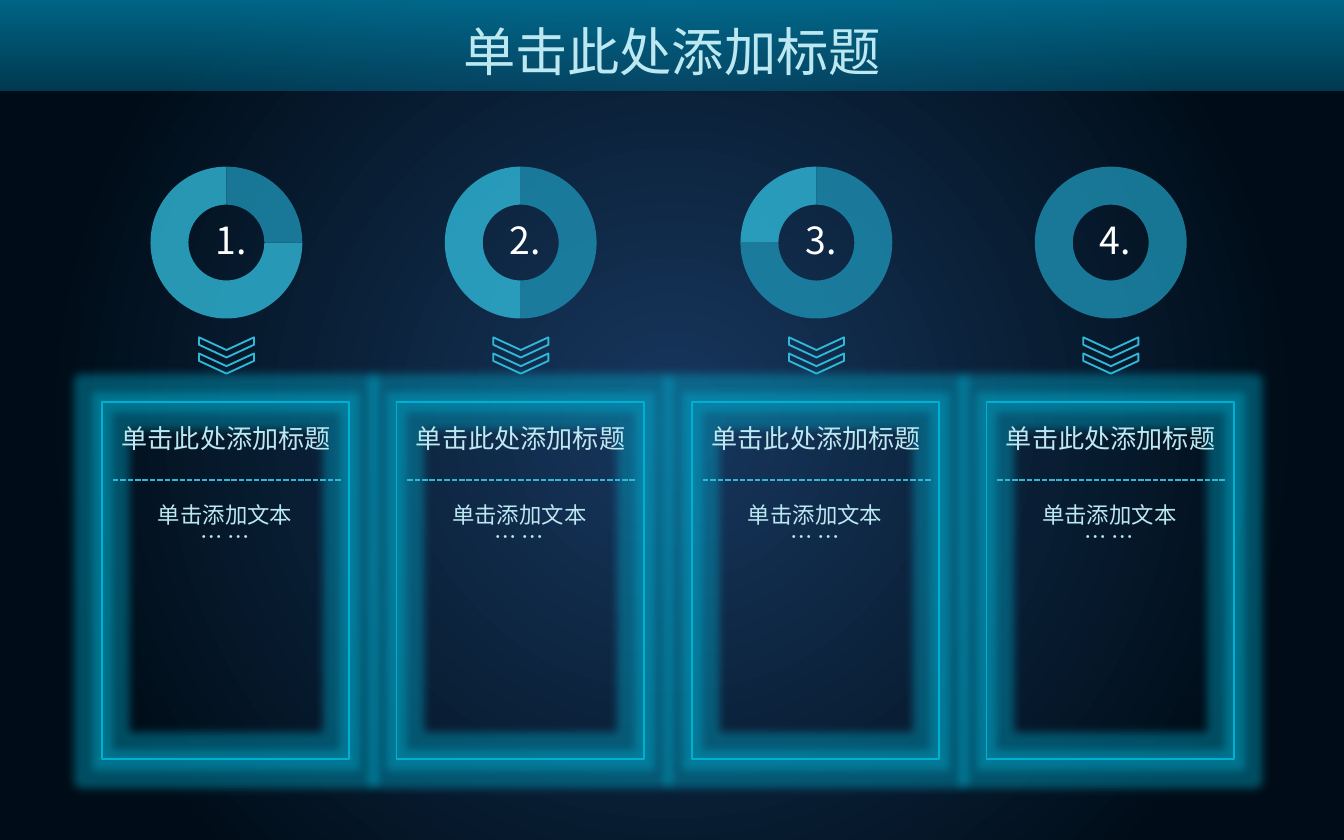
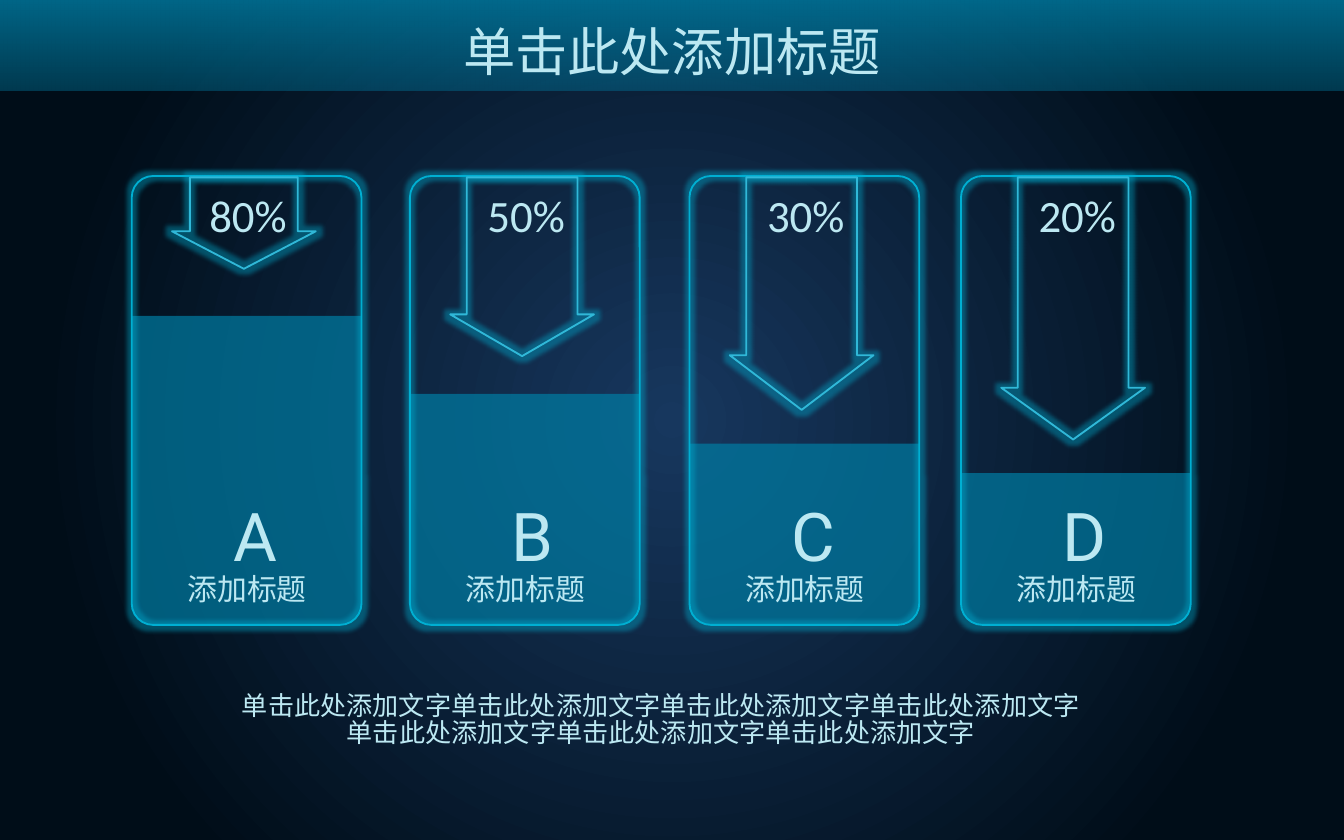
"""Build two dark, glowing slides: four numbered cards and four filled level gauges."""
import dataclasses

import lxml.etree
import pptx
import pptx.dml.color
import pptx.dml.fill
import pptx.enum.dml
import pptx.enum.shapes
import pptx.enum.text
import pptx.oxml.ns
import pptx.presentation
import pptx.shapes.autoshape
import pptx.slide
import pptx.text.text
import pptx.util

EMU_PER_PX = 9144
SLIDE_WIDTH, SLIDE_HEIGHT = 1000, 625
CJK, LATIN, LETTER = "Noto Sans CJK SC", "Calibri", "Roboto"
PALE, CYAN, TEAL, OCEAN, EDGE = "BCE8F2", "30B8D8", "1E8FB2", "007DA4", "00AFD2"
HEADING = "单击此处添加标题"
SHAPES = pptx.enum.shapes.MSO_SHAPE
Shape = pptx.shapes.autoshape.Shape
Slide = pptx.slide.Slide


@dataclasses.dataclass(frozen=True)
class Step:
    number: str
    share: float


@dataclasses.dataclass(frozen=True)
class Gauge:
    letter: str
    percent: str
    left: int
    fill_top: int
    arrow_height: int
    shaft: float
    head: float


@dataclasses.dataclass(frozen=True)
class Stop:
    position: int
    color: str
    alpha: int = 100


STEPS = [Step("1.", 0.25), Step("2.", 0.5), Step("3.", 0.75), Step("4.", 1)]
GAUGES = [
    Gauge("A", "80%", 98, 235, 68, 0.75, 0.41),
    Gauge("B", "50%", 305, 293, 133, 0.77, 0.29),
    Gauge("C", "30%", 513, 330, 173, 0.77, 0.38),
    Gauge("D", "20%", 715, 352, 195, 0.77, 0.36),
]
GAUGE_WIDTH, GAUGE_TOP, GAUGE_BOTTOM, GAUGE_RADIUS = 171, 131, 465, 16


def px(length: float) -> pptx.util.Emu:
    return pptx.util.Emu(round(length * EMU_PER_PX))


def rgb(color: str) -> pptx.dml.color.RGBColor:
    return pptx.dml.color.RGBColor.from_string(color)


def add_node(parent: lxml.etree.ElementBase, tag: str, **attributes: object) -> lxml.etree.ElementBase:
    values = {name: str(value) for name, value in attributes.items()}
    return lxml.etree.SubElement(parent, pptx.oxml.ns.qn(tag), values)


def add_color(parent: lxml.etree.ElementBase, color: str, alpha: int) -> None:
    node = add_node(parent, "a:srgbClr", val=color)
    if alpha < 100:
        add_node(node, "a:alpha", val=alpha * 1000)


def set_gradient(
    owner: lxml.etree.ElementBase, fill: pptx.dml.fill.FillFormat, stops: list[Stop], angle: int | None = None
) -> None:
    fill.solid()
    solid = next(owner.iter(pptx.oxml.ns.qn("a:solidFill")))
    gradient = add_node(solid.getparent(), "a:gradFill", rotWithShape=1)
    solid.getparent().replace(solid, gradient)
    stop_list = add_node(gradient, "a:gsLst")
    for stop in stops:
        add_color(add_node(stop_list, "a:gs", pos=stop.position * 1000), stop.color, stop.alpha)
    if angle is None:
        circle = add_node(gradient, "a:path", path="circle")
        add_node(circle, "a:fillToRect", l=50000, t=50000, r=50000, b=50000)
    else:
        add_node(gradient, "a:lin", ang=angle * 60000, scaled=0)


def write(
    frame: pptx.text.text.TextFrame, text: str, *, size: int, font: str = CJK, color: str = PALE, spacing: float = 1
) -> None:
    frame.word_wrap = True
    for index, line in enumerate(text.split("\n")):
        para = frame.add_paragraph() if index else frame.paragraphs[0]
        para.alignment = pptx.enum.text.PP_ALIGN.CENTER
        para.line_spacing = spacing
        span = para.add_run()
        span.text = line
        span.font.size = pptx.util.Pt(size)
        span.font.color.rgb = rgb(color)
        span.font.name = font
        add_node(span.font._element, "a:ea", typeface=font)


def add_text(
    page: Slide, left: int, top: int, width: int, height: int, text: str, *,
    size: int, font: str = CJK, color: str = PALE,
) -> None:
    box = page.shapes.add_textbox(px(left), px(top), px(width), px(height))
    write(box.text_frame, text, size=size, font=font, color=color, spacing=0.84 if font == CJK else 1)
    box.text_frame.auto_size = pptx.enum.text.MSO_AUTO_SIZE.SHAPE_TO_FIT_TEXT


def add_shape(
    page: Slide, kind: SHAPES, left: int, top: int, width: int, height: int, *,
    adjust: tuple[float, ...] = (), fill: str | None = None, alpha: int = 100,
    line: str | None = None, glow: int = 0,
) -> Shape:
    shape = page.shapes.add_shape(kind, px(left), px(top), px(width), px(height))
    shape.shadow.inherit = False
    for index, value in enumerate(adjust):
        shape.adjustments[index] = value
    if fill:
        shape.fill.solid()
        shape.fill.fore_color.rgb = rgb(fill)
        node = next(shape.element.spPr.iter(pptx.oxml.ns.qn("a:srgbClr")))
        add_node(node, "a:alpha", val=alpha * 1000)
    else:
        shape.fill.background()
    if line:
        shape.line.color.rgb = rgb(line)
        shape.line.width = pptx.util.Pt(1)
    else:
        shape.line.fill.background()
    if glow:
        effects = shape.element.spPr.find(pptx.oxml.ns.qn("a:effectLst"))
        add_color(add_node(effects, "a:glow", rad=pptx.util.Pt(glow)), EDGE, 40)
    return shape


def add_rule(page: Slide, left: int, right: int, top: int) -> None:
    rule = page.shapes.add_connector(
        pptx.enum.shapes.MSO_CONNECTOR.STRAIGHT, px(left), px(top), px(right), px(top)
    )
    rule.line.color.rgb = rgb(CYAN)
    rule.line.width = pptx.util.Pt(1)
    rule.line.dash_style = pptx.enum.dml.MSO_LINE.SQUARE_DOT
    add_node(rule.element.spPr, "a:effectLst")


def add_page(deck: pptx.presentation.Presentation) -> Slide:
    page = deck.slides.add_slide(deck.slide_layouts.get_by_name("Title Only"))
    band = add_shape(
        page, SHAPES.ROUND_2_SAME_RECTANGLE, 0, 0, SLIDE_WIDTH, 67, adjust=(0, 0)
    )
    set_gradient(band.element.spPr, band.fill, [Stop(0, OCEAN, 80), Stop(100, OCEAN, 39)], 90)
    title = page.shapes.title
    title.element.addprevious(band.element)
    title.left, title.top, title.width, title.height = px(288), px(5), px(424), px(67)
    frame = title.text_frame
    frame.auto_size = pptx.enum.text.MSO_AUTO_SIZE.NONE
    frame.vertical_anchor = pptx.enum.text.MSO_ANCHOR.TOP
    frame.margin_top, frame.margin_bottom = px(9), 0
    write(frame, HEADING, size=28)
    font = frame.paragraphs[0].runs[0].font
    stops = [Stop(0, "4EC3DE"), Stop(40, PALE), Stop(60, PALE), Stop(100, "4EC3DE")]
    set_gradient(font._element, font.fill, stops, 0)
    return page


def add_ring(page: Slide, center: int, share: float) -> None:
    frame = (center - 56, 124, 113, 113)
    if share == 1:
        add_shape(page, SHAPES.DONUT, *frame, adjust=(0.25,), fill=TEAL, alpha=80)
        return
    start, end = 270, (270 + 360 * share) % 360
    for color, first, last in ((CYAN, end, start), (TEAL, start, end)):
        angles = (first * 0.6, last * 0.6, 0.25)
        add_shape(page, SHAPES.BLOCK_ARC, *frame, adjust=angles, fill=color, alpha=80)


def add_step(page: Slide, center: int, step: Step) -> None:
    add_ring(page, center, step.share)
    add_text(page, center - 31, 162, 70, 44, step.number, size=20, color="FFFFFF")
    for top in (238, 250):
        chevron = add_shape(page, SHAPES.CHEVRON, center - 7, top, 15, 41, adjust=(0.63,), line=CYAN)
        chevron.rotation = 90
    add_shape(page, SHAPES.RECTANGLE, center - 92, 299, 184, 266, line=EDGE, glow=10)
    add_text(page, center - 89, 371, 177, 50, "单击添加文本\n… …", size=12)
    add_rule(page, center - 84, center + 86, 357)
    add_text(page, center - 88, 313, 177, 34, HEADING, size=14)


def add_gauge(page: Slide, gauge: Gauge) -> None:
    left, fill_height = gauge.left, GAUGE_BOTTOM - gauge.fill_top
    corner = GAUGE_RADIUS / min(GAUGE_WIDTH, fill_height)
    add_shape(
        page, SHAPES.ROUND_2_SAME_RECTANGLE, left, gauge.fill_top, GAUGE_WIDTH, fill_height,
        adjust=(0, corner), fill=OCEAN, alpha=70,
    )
    add_shape(
        page, SHAPES.ROUNDED_RECTANGLE, left, GAUGE_TOP, GAUGE_WIDTH, GAUGE_BOTTOM - GAUGE_TOP,
        adjust=(GAUGE_RADIUS / GAUGE_WIDTH,), line=EDGE, glow=5,
    )
    add_shape(
        page, SHAPES.DOWN_ARROW, left + 30, GAUGE_TOP + 1, 107, gauge.arrow_height,
        adjust=(gauge.shaft, gauge.head), line=CYAN, glow=5,
    )
    add_text(page, left + 27, 135, 119, 50, gauge.percent, size=24, font=LATIN)
    add_text(page, left + 8, 424, 156, 37, "添加标题", size=16)
    add_text(page, left + 66, 363, 40, 71, gauge.letter, size=36, font=LETTER)


def main() -> None:
    deck = pptx.Presentation()
    deck.slide_width, deck.slide_height = px(SLIDE_WIDTH), px(SLIDE_HEIGHT)
    master = deck.slide_master
    background = master.background.fill
    set_gradient(master.element.cSld.bg, background, [Stop(0, "17375E"), Stop(80, "000D18")])

    steps_page = add_page(deck)
    for index, step in enumerate(STEPS):
        add_step(steps_page, 168 + round(index * 658 / 3), step)

    gauges_page = add_page(deck)
    for gauge in GAUGES:
        add_gauge(gauges_page, gauge)
    phrase = "单击此处添加文字"
    add_text(gauges_page, 98, 512, 788, 57, f"{phrase * 4}\n{phrase * 3}", size=14)
    deck.save("out.pptx")


if __name__ == "__main__":
    main()
